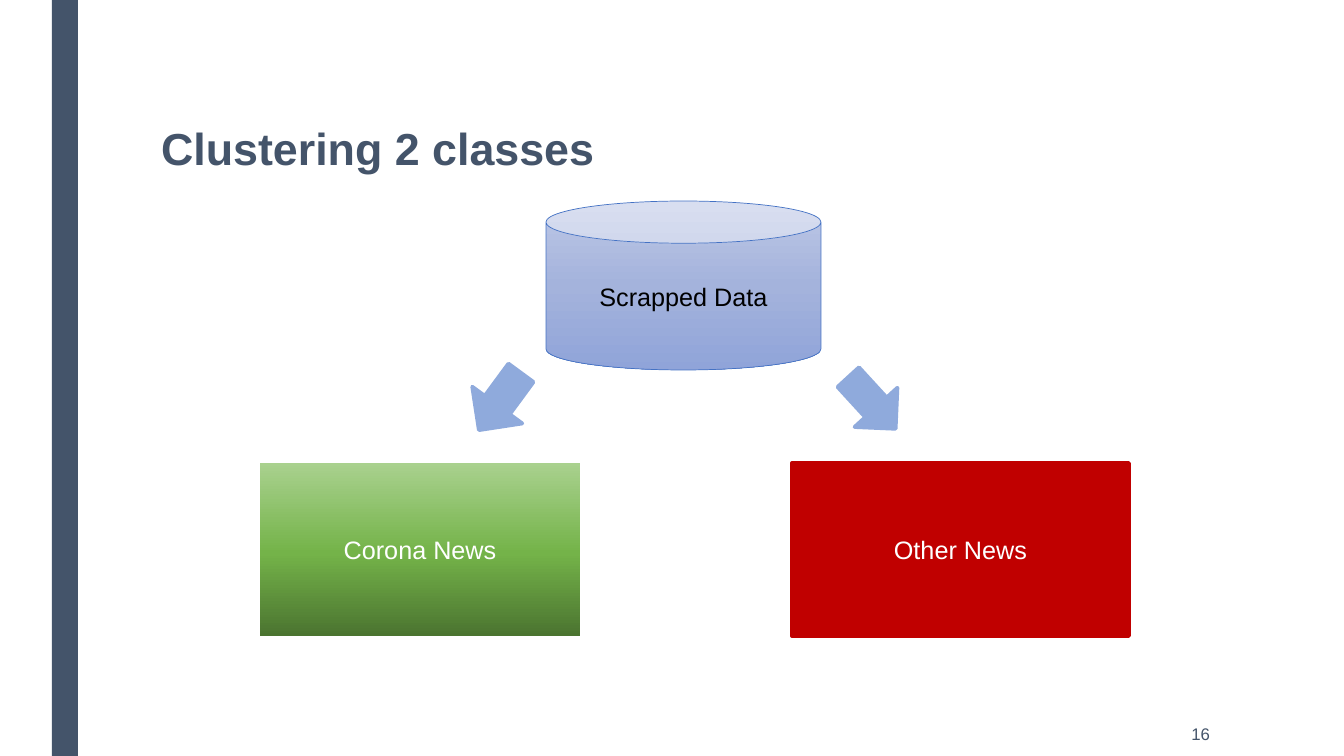
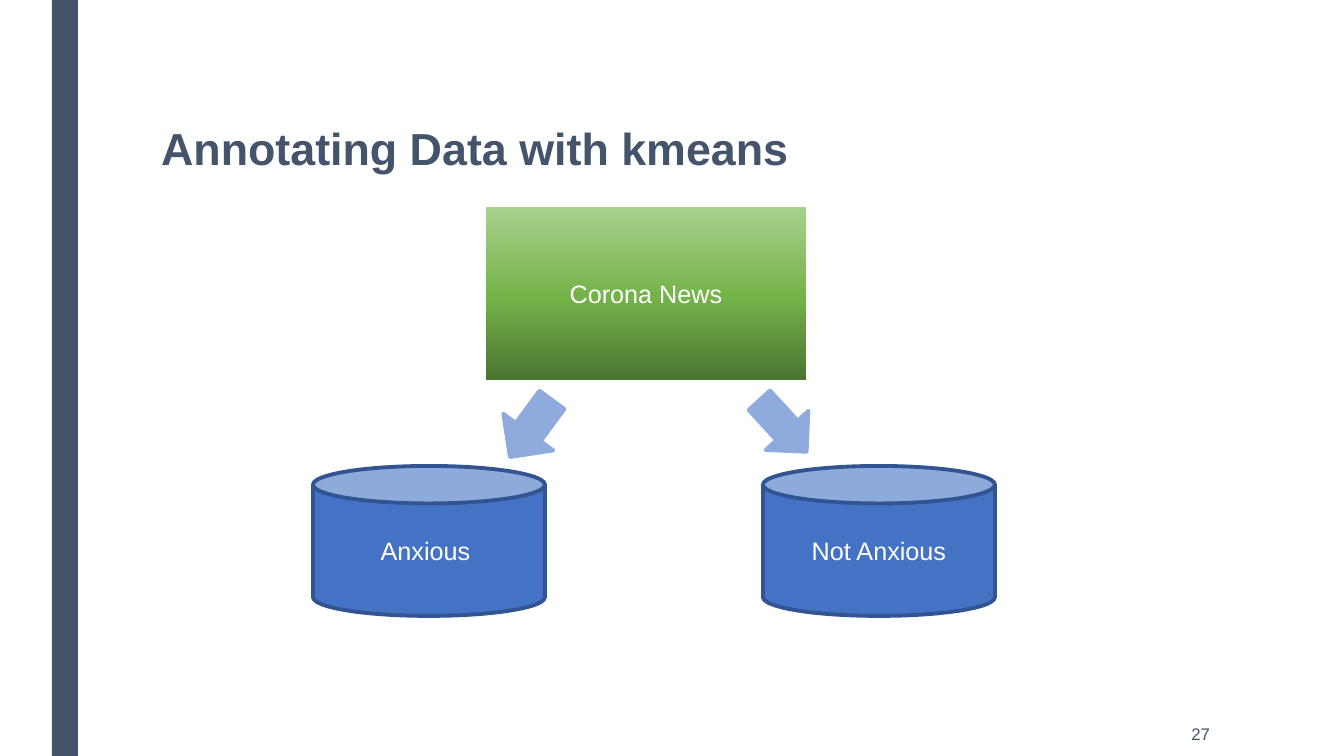
from copy import deepcopy

from pptx import Presentation
from pptx.dml.color import RGBColor
from pptx.enum.shapes import MSO_SHAPE as SHAPE
from pptx.enum.text import MSO_ANCHOR as ANCHOR, MSO_AUTO_SIZE as AUTO, PP_ALIGN as ALIGN
from pptx.oxml.ns import qn
from pptx.util import Pt

EMU_PER_PX = 914400 / 100.8
FONT = "Arial"
NAVY, WHITE, BLACK = "44546A", "FFFFFF", "000000"
BLUE, BLUE_EDGE, ARROW, RED = "4472C4", "325491", "8FAADC", "C00000"
GREEN_FADE = [(0, "A9D18E"), (0.52, "74B349"), (1, "4B7430")]
BLUE_FADE = [(0, "BEC8E6"), (0.5, "A4B3DC"), (1, "90A4D9")]
NEWS_SIZE = (320, 173)


def px(n):
    return round(n * EMU_PER_PX)


def rgb(value):
    return RGBColor.from_string(value)


def write(tf, text, size, color, align, bold=False):
    tf.word_wrap = True
    p = tf.paragraphs[0]
    p.alignment = align
    r = p.add_run()
    r.text = text
    r.font.name, r.font.size, r.font.bold = FONT, Pt(size), bold
    r.font.color.rgb = rgb(color)
    return p


def fade(sp, stops):
    sp.fill.gradient()
    sp.fill.gradient_angle = 270
    gs_list = sp.element.spPr.find(qn("a:gradFill")).find(qn("a:gsLst"))
    for _ in range(len(stops) - len(gs_list)):
        gs_list.append(deepcopy(gs_list[0]))
    for stop, (position, color) in zip(sp.fill.gradient_stops, stops):
        stop.position = position
        stop.color.rgb = rgb(color)


def add_block(s, kind, box, fill, line=None, width=2.75, text="", color=WHITE):
    sp = s.shapes.add_shape(kind, *map(px, box))
    sp.shadow.inherit = False
    if isinstance(fill, list):
        fade(sp, fill)
    else:
        sp.fill.solid()
        sp.fill.fore_color.rgb = rgb(fill)
    if line:
        sp.line.color.rgb = rgb(line)
        sp.line.width = Pt(width)
    else:
        sp.line.fill.background()
    if text:
        sp.text_frame.vertical_anchor = ANCHOR.MIDDLE
        write(sp.text_frame, text, 18, color, ALIGN.CENTER)
    return sp


def add_corona_news(s, x, y):
    add_block(s, SHAPE.RECTANGLE, (x, y, *NEWS_SIZE), GREEN_FADE, text="Corona News")


def add_split_arrows(s, left, right):
    for at, size, angle in ((left, (62, 71), 36.3), (right, (58, 70), 317.5)):
        sp = add_block(s, SHAPE.DOWN_ARROW, (*at, *size), ARROW, ARROW)
        sp.rotation = angle


def add_cluster_diagram(s, x, y):
    add_block(s, SHAPE.CAN, (x + 286, y, 275, 169), BLUE_FADE, BLUE, 0.5,
              "Scrapped Data", BLACK)
    add_corona_news(s, x, y + 262)
    add_block(s, SHAPE.RECTANGLE, (x + 532, y + 262, 337, 173), RED, RED,
              text="Other News")
    add_split_arrows(s, (x + 209, y + 165), (x + 583, y + 167))


def add_annotation_diagram(s, x, y):
    add_corona_news(s, x + 173, y)
    for i, label in enumerate(("Anxious ", "Not Anxious")):
        add_block(s, SHAPE.CAN, (x + 450 * i, y + 259, 232, 150), BLUE, BLUE_EDGE,
                  text=label)
    add_split_arrows(s, (x + 187, y + 186), (x + 441, y + 184))


def add_master_band(prs, s):
    band = add_block(s, SHAPE.RECTANGLE, (52, 0, 26, 756), NAVY)
    band.element.nvSpPr.cNvPr.set("id", "20")
    prs.slide_master.shapes.element.insert(2, band.element)


def add_titled_slide(prs, title, number):
    s = prs.slides.add_slide(prs.slide_layouts[5])
    sp = s.shapes.title
    sp.left, sp.top, sp.width, sp.height = map(px, (151, 76, 1058, 163))
    tf = sp.text_frame
    tf.auto_size = AUTO.NONE
    tf.vertical_anchor = ANCHOR.TOP
    tf.margin_top = px(51)
    write(tf, title, 32, NAVY, ALIGN.LEFT, bold=True).line_spacing = 0.89

    tf = s.shapes.add_textbox(*map(px, (1044, 712, 176, 44))).text_frame
    tf.vertical_anchor = ANCHOR.MIDDLE
    write(tf, number, 12, NAVY, ALIGN.RIGHT)
    return s


def main():
    prs = Presentation()
    prs.slide_width, prs.slide_height = px(1344), px(756)
    s = add_titled_slide(prs, "Clustering 2 classes", "16")
    add_master_band(prs, s)
    add_cluster_diagram(s, 260, 201)
    s = add_titled_slide(prs, "Annotating Data with kmeans", "27")
    add_annotation_diagram(s, 313, 207)
    prs.save("out.pptx")


if __name__ == "__main__":
    main()
